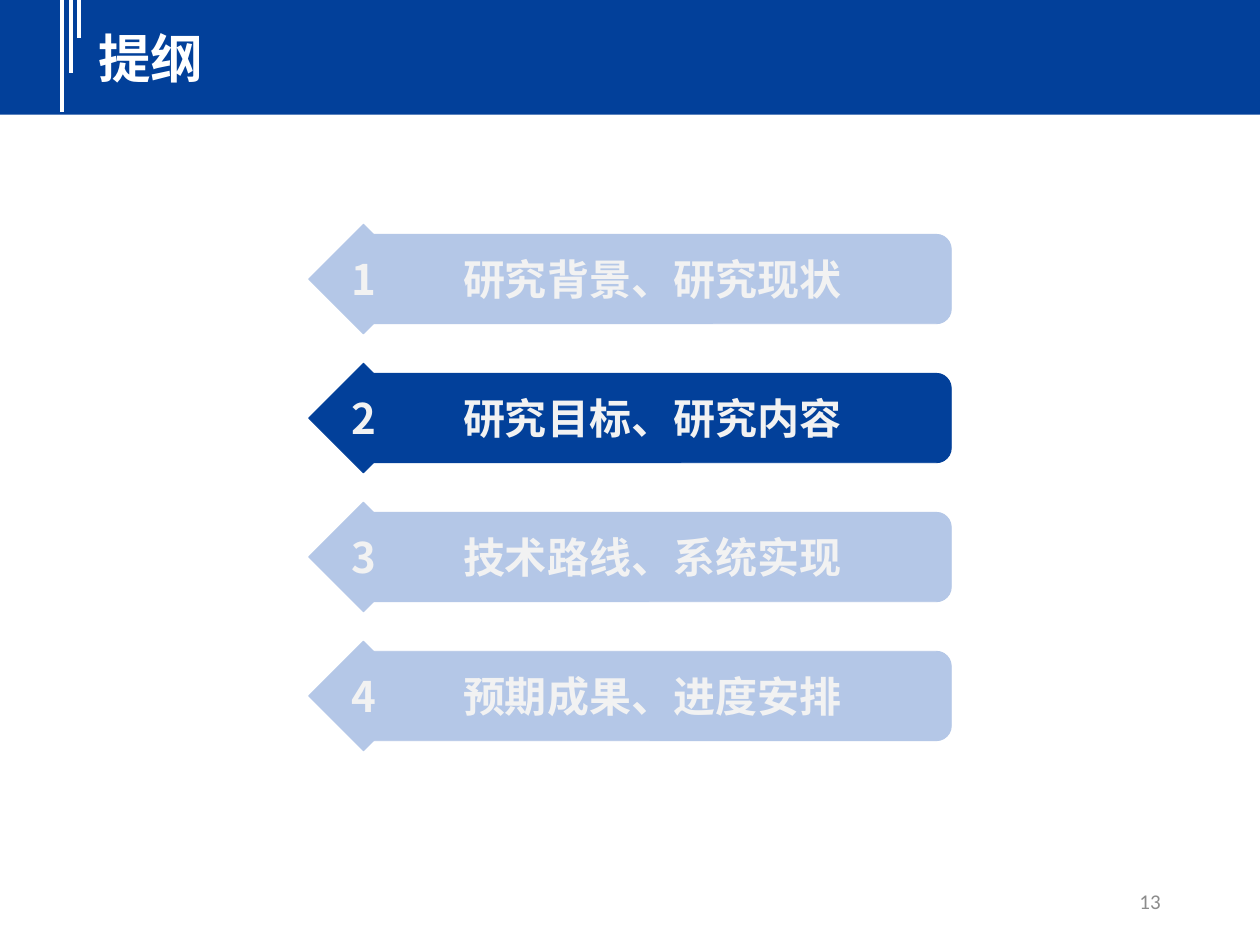
"""Build an outline slide with four numbered sections, one of them highlighted."""
from lxml.etree import SubElement
from pptx import Presentation
from pptx.dml.color import RGBColor
from pptx.enum.shapes import MSO_CONNECTOR, MSO_SHAPE
from pptx.enum.text import MSO_ANCHOR, MSO_AUTO_SIZE, PP_ALIGN
from pptx.oxml.ns import qn
from pptx.util import Inches, Pt

TITLE = "提纲"
SECTIONS = ["研究背景、研究现状", "研究目标、研究内容", "技术路线、系统实现", "预期成果、进度安排"]
CURRENT = 2
PAGE_NUMBER = "13"
STRIPES = [(0.49, 0.89), (0.56, 0.58), (0.63, 0.3)]

BLUE, PALE, WHITE, LIGHT, GREY = "02409A", "B4C7E7", "FFFFFF", "F2F2F2", "8C8C8C"
CJK, LATIN = "Noto Sans CJK SC", "Calibri"
BAND_TOP = -0.03
FIRST_TOP, PITCH = 1.78, 1.103
DIAMOND_LEFT, DIAMOND_SIZE = 2.45, 0.87
BAR_LEFT, BAR_WIDTH, BAR_HEIGHT = 2.8, 4.75, 0.71


def color(code):
    return RGBColor.from_string(code)


def write(shape, text, size, font, code, align, anchor, bold=True, wrap=True):
    frame = shape.text_frame
    frame.text = text
    frame.word_wrap = wrap
    frame.vertical_anchor = anchor
    para = frame.paragraphs[0]
    para.alignment = align
    span = para.runs[0]
    span.font.size = Pt(size)
    span.font.bold = bold
    span.font.color.rgb = color(code)
    span.font.name = font
    SubElement(span.font._element, qn("a:ea"), typeface=CJK)


def add_block(shapes, kind, left, top, width, height, fill, line_width=None):
    block = shapes.add_shape(kind, Inches(left), Inches(top), Inches(width), Inches(height))
    block.shadow.inherit = False
    block.fill.solid()
    block.fill.fore_color.rgb = color(fill)
    if line_width:
        block.line.color.rgb = color(fill)
        block.line.width = Pt(line_width)
    else:
        block.line.fill.background()
    return block


def add_stripe(page, x, bottom):
    stripe = page.shapes.add_connector(
        MSO_CONNECTOR.STRAIGHT, Inches(x), Inches(BAND_TOP), Inches(x), Inches(bottom))
    stripe.line.color.rgb = color(WHITE)
    stripe.line.width = Pt(2.25)
    SubElement(stripe._element.spPr, qn("a:effectLst"))


def add_section(page, number, text):
    fill = BLUE if number == CURRENT else PALE
    top = FIRST_TOP + (number - 1) * PITCH
    shapes = page.shapes.add_group_shape().shapes
    bar = add_block(shapes, MSO_SHAPE.ROUNDED_RECTANGLE, BAR_LEFT,
                    top + (DIAMOND_SIZE - BAR_HEIGHT) / 2, BAR_WIDTH, BAR_HEIGHT, fill, 0.5)
    bar.adjustments[0] = 0.167
    diamond = add_block(shapes, MSO_SHAPE.DIAMOND, DIAMOND_LEFT, top,
                        DIAMOND_SIZE, DIAMOND_SIZE, fill, 0.5)
    for shape, label, font in [(bar, text, LATIN), (diamond, str(number), CJK)]:
        write(shape, label, 24, font, LIGHT, PP_ALIGN.CENTER, MSO_ANCHOR.MIDDLE, wrap=False)


def main():
    deck = Presentation()
    deck.slide_width, deck.slide_height = Inches(10), Inches(7.5)
    page = deck.slides.add_slide(deck.slide_layouts[5])

    band = add_block(page.shapes, MSO_SHAPE.RECTANGLE, 0, BAND_TOP, 10, 0.94, BLUE)
    title = page.shapes.title
    title._element.addprevious(band._element)
    title.left, title.top = Inches(0.68), Inches(0.16)
    title.width, title.height = Inches(9.12), Inches(0.61)
    write(title, TITLE, 30, CJK, WHITE, PP_ALIGN.LEFT, MSO_ANCHOR.TOP)
    title.text_frame.auto_size = MSO_AUTO_SIZE.SHAPE_TO_FIT_TEXT

    for x, bottom in STRIPES:
        add_stripe(page, x, bottom)
    for number, text in enumerate(SECTIONS, 1):
        add_section(page, number, text)

    box = page.shapes.add_textbox(Inches(7.06), Inches(6.95), Inches(2.25), Inches(0.4))
    write(box, PAGE_NUMBER, 12, LATIN, GREY, PP_ALIGN.RIGHT, MSO_ANCHOR.MIDDLE, bold=False)
    deck.save("out.pptx")


if __name__ == "__main__":
    main()
